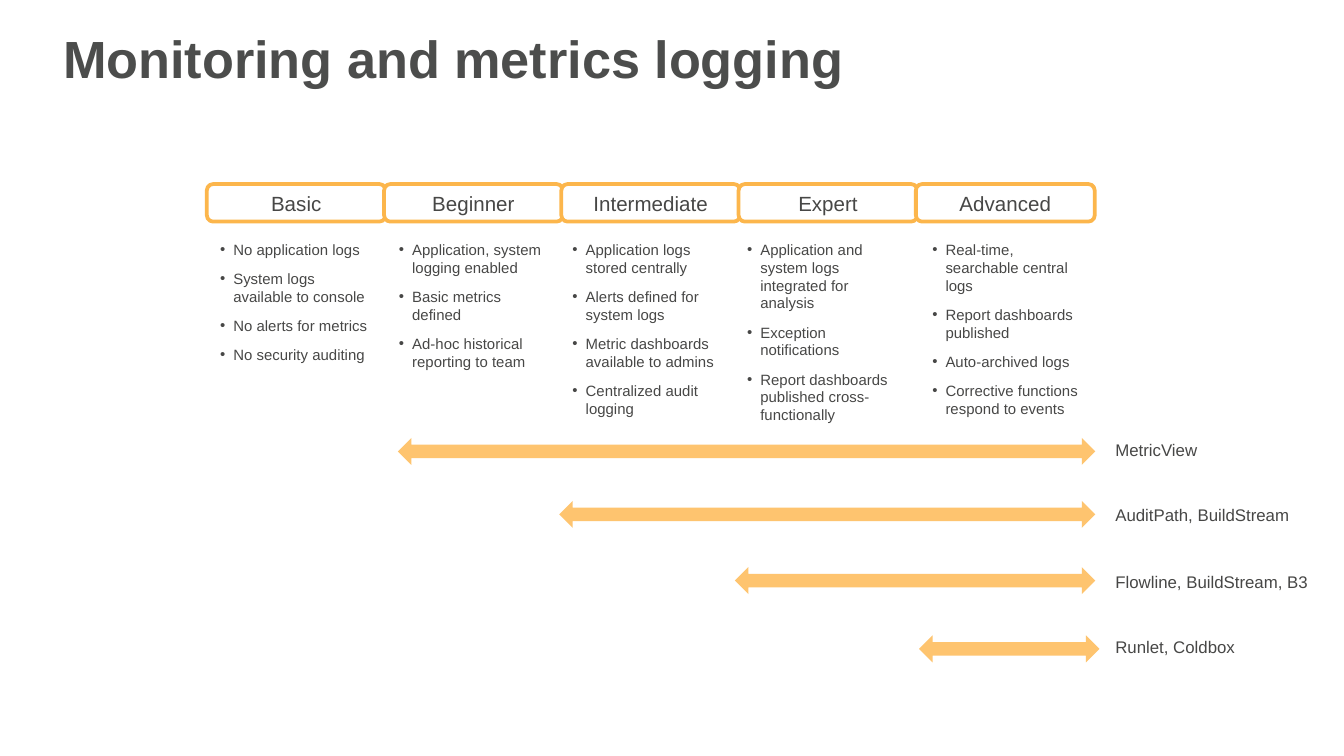
import pptx
import pptx.util
import pptx.dml.color
import pptx.enum.shapes
import pptx.enum.text
import pptx.oxml.ns
from lxml import etree

Cm, Pt = pptx.util.Cm, pptx.util.Pt
SHAPES = pptx.enum.shapes.MSO_SHAPE
ANCHOR = pptx.enum.text.MSO_ANCHOR
ALIGN = pptx.enum.text.PP_ALIGN

# Content: level, left of its list (cm), bullets
TITLE = "Monitoring and metrics logging"
LEVELS = [
    ("Basic", 3.91, ["No application logs", "System logs available to console",
                     "No alerts for metrics", "No security auditing"]),
    ("Beginner", 7.29, ["Application, system logging enabled", "Basic metrics defined",
                        "Ad-hoc historical reporting to team"]),
    ("Intermediate", 10.57, ["Application logs stored centrally",
                             "Alerts defined for system logs",
                             "Metric dashboards available to admins",
                             "Centralized audit logging"]),
    ("Expert", 13.87, ["Application and system logs integrated for analysis",
                       "Exception notifications",
                       "Report dashboards published cross-functionally"]),
    ("Advanced", 17.37, ["Real-time, searchable central logs",
                         "Report dashboards published", "Auto-archived logs",
                         "Corrective functions respond to events"]),
]
# Tools: label, label top, arrow left, arrow top, arrow right (cm)
TOOLS = [
    ("MetricView", 8.18, 7.52, 8.28, 20.7),
    ("AuditPath, BuildStream", 9.42, 10.57, 9.47, 20.7),
    ("Flowline, BuildStream, B3", 10.69, 13.89, 10.72, 20.7),
    ("Runlet, Coldbox", 11.91, 17.37, 12.01, 20.78),
]
TITLE_COLOUR, TEXT, BORDER, ARROW, WHITE = "4C4D4C", "474746", "FCB64C", "FEC46F", "FFFFFF"

# Layout in cm
HEADER_LEFT, HEADER_STEP, HEADER_TOP = 3.91, 3.35, 3.48
HEADER_WIDTH, HEADER_HEIGHT = 3.38, 0.71
LIST_TOP, LIST_WIDTH, LIST_HEIGHT = 4.42, 3.33, 3.33
ARROW_HEIGHT = 0.51
LABEL_LEFT, LABEL_WIDTH, LABEL_HEIGHT = 20.83, 4.24, 0.61


def colour(value):
    return pptx.dml.color.RGBColor.from_string(value)


def set_font(paragraph, size, value, bold=False):
    font = paragraph.font
    font.name, font.size, font.bold = "Arial", Pt(size), bold
    font.color.rgb = colour(value)


def add_shape(kind, left, top, width, height, fill, line=None):
    shape = slide.shapes.add_shape(kind, Cm(left), Cm(top), Cm(width), Cm(height))
    shape.shadow.inherit = False
    shape.fill.solid()
    shape.fill.fore_color.rgb = colour(fill)
    if line:
        shape.line.color.rgb = colour(line)
        shape.line.width = Pt(2)
    else:
        shape.line.fill.background()
    return shape


def add_text(left, top, width, height, lines, size, bullets=False):
    box = slide.shapes.add_textbox(Cm(left), Cm(top), Cm(width), Cm(height))
    frame = box.text_frame
    frame.word_wrap = bullets
    for index, line in enumerate(lines):
        paragraph = frame.add_paragraph() if index else frame.paragraphs[0]
        paragraph.text = line
        if index:
            paragraph.space_before = Pt(6)
        if bullets:
            add_bullet(paragraph)
        set_font(paragraph, size, TEXT)


def add_bullet(paragraph):
    properties = paragraph._p.get_or_add_pPr()
    properties.set("marL", str(Cm(0.25)))
    properties.set("indent", str(-Cm(0.25)))
    etree.SubElement(properties, pptx.oxml.ns.qn("a:buFont")).set("typeface", "Arial")
    etree.SubElement(properties, pptx.oxml.ns.qn("a:buChar")).set("char", "•")


presentation = pptx.Presentation()
presentation.slide_width, presentation.slide_height = Cm(25.4), Cm(14.29)
slide = presentation.slides.add_slide(presentation.slide_layouts[5])

# Title
title = slide.shapes.title
title.left, title.top, title.width, title.height = Cm(0.94), Cm(0.33), Cm(22.78), Cm(1.52)
title.text_frame.text = TITLE
title.text_frame.vertical_anchor = ANCHOR.MIDDLE
title.text_frame.paragraphs[0].alignment = ALIGN.LEFT
set_font(title.text_frame.paragraphs[0], 28, TITLE_COLOUR, bold=True)

# Level headers
for index, (name, _, _) in enumerate(LEVELS):
    header = add_shape(SHAPES.ROUNDED_RECTANGLE, HEADER_LEFT + index * HEADER_STEP,
                       HEADER_TOP, HEADER_WIDTH, HEADER_HEIGHT, WHITE, BORDER)
    header.text_frame.text = name
    header.text_frame.vertical_anchor = ANCHOR.MIDDLE
    header.text_frame.paragraphs[0].alignment = ALIGN.CENTER
    set_font(header.text_frame.paragraphs[0], 11, TEXT)

# Level descriptions
for _, left, bullets in LEVELS:
    add_text(left, LIST_TOP, LIST_WIDTH, LIST_HEIGHT, bullets, 8, bullets=True)

# Tool ranges and their labels
for label, label_top, left, top, right in TOOLS:
    add_shape(SHAPES.LEFT_RIGHT_ARROW, left, top, right - left, ARROW_HEIGHT, ARROW)
    add_text(LABEL_LEFT, label_top, LABEL_WIDTH, LABEL_HEIGHT, [label], 9)

presentation.save("out.pptx")
